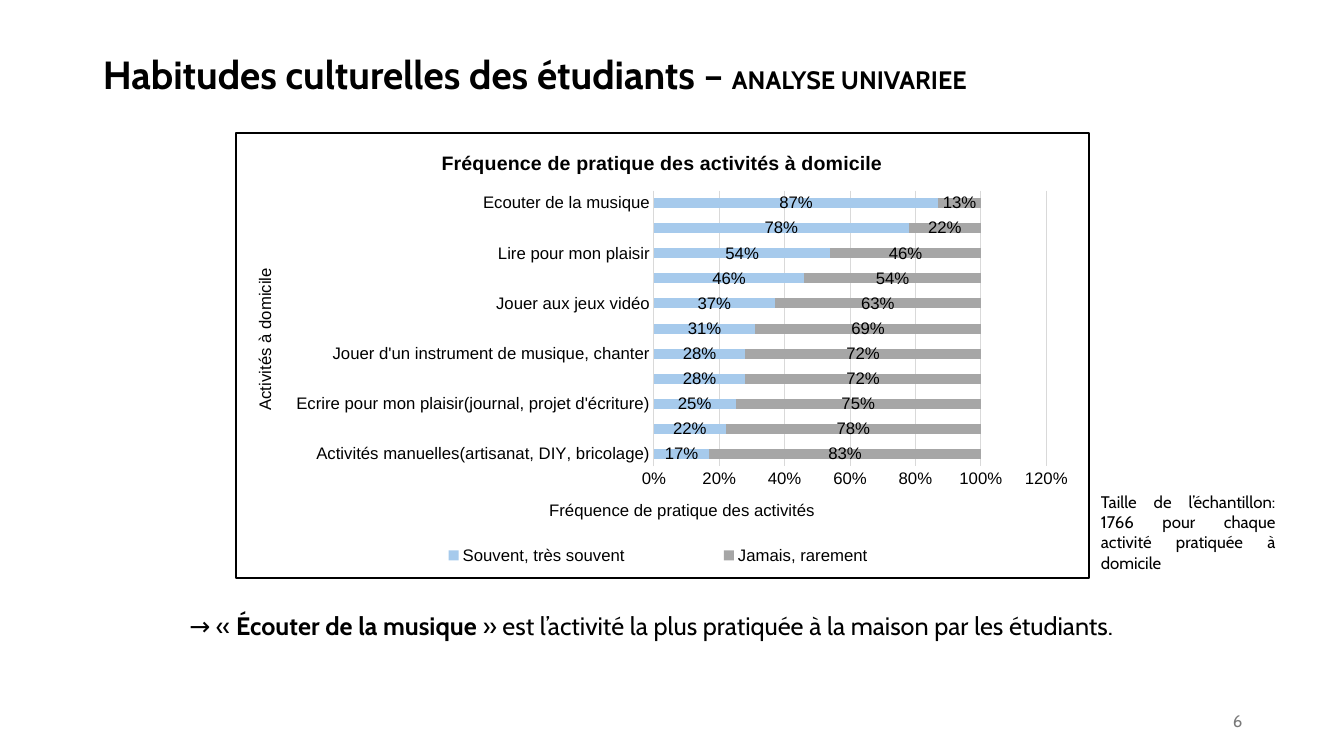
from dataclasses import dataclass

import lxml.etree
import pptx
import pptx.chart.data
import pptx.dml.color
import pptx.enum.chart
import pptx.enum.text
import pptx.oxml
import pptx.oxml.ns
import pptx.util

Inches = pptx.util.Inches
Pt = pptx.util.Pt
Align = pptx.enum.text.PP_ALIGN
Anchor = pptx.enum.text.MSO_ANCHOR
qn = pptx.oxml.ns.qn
BLACK = "000000"
GRID_GREY = "D9D9D9"


@dataclass
class Span:
    text: str
    size: float
    bold: bool = False
    colour: str = BLACK


@dataclass
class Note:
    left: float
    top: float
    width: float
    height: float
    align: Align
    anchor: Anchor
    spans: list[Span]


@dataclass
class Answer:
    name: str
    colour: str
    values: list[float]


def rgb(value: str) -> pptx.dml.color.RGBColor:
    return pptx.dml.color.RGBColor.from_string(value)


def style_font(font, size: float, bold: bool = False, colour: str = BLACK, name: str = "Arial") -> None:
    font.name = name
    font.size = Pt(size)
    font.bold = bold
    font.color.rgb = rgb(colour)


def place(shape, left: float, top: float, width: float, height: float) -> None:
    shape.left, shape.top = Inches(left), Inches(top)
    shape.width, shape.height = Inches(width), Inches(height)


def write_spans(paragraph, spans: list[Span]) -> None:
    for span in spans:
        run = paragraph.add_run()
        run.text = span.text
        style_font(run.font, span.size, span.bold, span.colour, "Cabin")


def add_note(page, note: Note) -> None:
    box = page.shapes.add_textbox(
        Inches(note.left), Inches(note.top), Inches(note.width), Inches(note.height))
    box.text_frame.word_wrap = True
    box.text_frame.vertical_anchor = note.anchor
    paragraph = box.text_frame.paragraphs[0]
    paragraph.alignment = note.align
    write_spans(paragraph, note.spans)


def set_heading(owner, text: str, size: float, bold: bool) -> None:
    owner.has_title = True
    heading = getattr(owner, "chart_title", None) or owner.axis_title
    paragraph = heading.text_frame.paragraphs[0]
    paragraph.text = text
    style_font(paragraph.runs[0].font, size, bold)


def style_axis(axis, heading: str) -> None:
    set_heading(axis, heading, 12, False)
    axis.major_tick_mark = pptx.enum.chart.XL_TICK_MARK.NONE
    axis.minor_tick_mark = pptx.enum.chart.XL_TICK_MARK.NONE
    style_font(axis.tick_labels.font, 12)


def set_line(line, colour: str, width: float) -> None:
    line.color.rgb = rgb(colour)
    line.width = Pt(width)


def frame_chart(chart, colour: str, width: float) -> None:
    border = pptx.oxml.parse_xml(
        f'<c:spPr {pptx.oxml.ns.nsdecls("c", "a")}>'
        '<a:solidFill><a:srgbClr val="FFFFFF"/></a:solidFill>'
        f'<a:ln w="{Pt(width)}"><a:solidFill><a:srgbClr val="{colour}"/></a:solidFill></a:ln></c:spPr>')
    chart.element.find(qn("c:chart")).addnext(border)


def place_part(part, position: int, modes: dict[str, str], x: float, y: float, w: float, h: float) -> None:
    for old in part.findall(qn("c:layout")):
        part.remove(old)
    layout = lxml.etree.Element(qn("c:layout"))
    manual = lxml.etree.SubElement(layout, qn("c:manualLayout"))
    settings = dict(modes, xMode="edge", yMode="edge", x=x, y=y, w=w, h=h)
    for name, value in settings.items():
        lxml.etree.SubElement(manual, qn(f"c:{name}")).set("val", str(value))
    part.insert(position, layout)


def add_activity_chart(page, activities: list[str], answers: list[Answer]) -> None:
    data = pptx.chart.data.CategoryChartData(number_format="0%")
    data.categories = activities
    for answer in answers:
        data.add_series(answer.name, answer.values)
    chart = page.shapes.add_chart(
        pptx.enum.chart.XL_CHART_TYPE.BAR_STACKED,
        Inches(2.33), Inches(1.31), Inches(8.48), Inches(4.43), data).chart
    style_font(chart.font, 12)
    set_heading(chart, "Fréquence de pratique des activités à domicile", 14, True)

    style_axis(chart.category_axis, "Activités à domicile")
    set_line(chart.category_axis.format.line, GRID_GREY, 0.75)
    value_axis = chart.value_axis
    style_axis(value_axis, "Fréquence de pratique des activités")
    value_axis.format.line.fill.background()
    value_axis.minimum_scale, value_axis.maximum_scale, value_axis.major_unit = 0, 1.2, 0.2
    value_axis.tick_labels.number_format = "0%"
    value_axis.tick_labels.number_format_is_linked = False
    set_line(value_axis.major_gridlines.format.line, GRID_GREY, 0.75)

    chart.has_legend = True
    chart.legend.position = pptx.enum.chart.XL_LEGEND_POSITION.BOTTOM
    chart.legend.include_in_layout = False
    style_font(chart.legend.font, 12)

    plot = chart.plots[0]
    plot.vary_by_categories = False
    plot.gap_width, plot.overlap = 150, 100
    for series, answer in zip(plot.series, answers):
        series.format.fill.solid()
        series.format.fill.fore_color.rgb = rgb(answer.colour)
        labels = series.data_labels
        labels.show_value = True
        labels.number_format = "0%"
        labels.number_format_is_linked = False
        labels.position = pptx.enum.chart.XL_LABEL_POSITION.CENTER
        style_font(labels.font, 12)
    frame_chart(chart, BLACK, 1.25)
    place_part(chart.element.find(".//" + qn("c:plotArea")), 0,
               {"layoutTarget": "inner"}, 0.49, 0.13, 0.46, 0.62)
    place_part(chart.element.find(".//" + qn("c:legend")), 1, {}, 0.14, 0.91, 0.71, 0.08)


ACTIVITIES = [
    "Activités manuelles(artisanat, DIY, bricolage)",
    "Arts plastiques(dessin, peinture, photo, sculpture)",
    "Ecrire pour mon plaisir(journal, projet d'écriture)",
    "Créer des contenus numériques(codage, blog, story, réseaux sociaux…)",
    "Jouer d'un instrument de musique, chanter",
    "Ecouter des podcasts",
    "Jouer aux jeux vidéo",
    "Cuisiner pour mon plaisir",
    "Lire pour mon plaisir",
    "Regarder un film, une série",
    "Ecouter de la musique",
]
OFTEN = [0.17, 0.22, 0.25, 0.28, 0.28, 0.31, 0.37, 0.46, 0.54, 0.78, 0.87]
ANSWERS = [
    Answer("Souvent, très souvent", "A6CAEC", OFTEN),
    Answer("Jamais, rarement", "A6A6A6", [round(1 - share, 2) for share in OFTEN]),
]
NOTES = [
    Note(9.42, 6.95, 3, 0.4, Align.RIGHT, Anchor.MIDDLE, [Span("6", 12, colour="797979")]),
    Note(10.82, 4.83, 1.93, 0.91, Align.JUSTIFY, Anchor.TOP, [
        Span("Taille de l’échantillon: 1766 pour chaque activité pratiquée à domicile", 12)]),
    Note(1.78, 6.01, 10.76, 0.4, Align.LEFT, Anchor.TOP, [
        Span("→ « ", 18),
        Span("Écouter de la musique ", 18, True),
        Span("» est l’activité la plus pratiquée à la maison par les étudiants.", 18)]),
]


def main() -> None:
    deck = pptx.Presentation()
    deck.slide_width, deck.slide_height = Inches(13.33), Inches(7.5)
    page = deck.slides.add_slide(deck.slide_layouts[5])
    title = page.shapes.title
    place(title, 0.92, 0.4, 11.5, 1.45)
    title.text_frame.auto_size = pptx.enum.text.MSO_AUTO_SIZE.NONE
    title.text_frame.vertical_anchor = Anchor.MIDDLE
    paragraph = title.text_frame.paragraphs[0]
    paragraph.alignment = Align.LEFT
    paragraph.line_spacing = 0.9
    write_spans(paragraph, [
        Span("Habitudes culturelles des étudiants – ", 28, True),
        Span("ANALYSE UNIVARIEE", 18, True)])
    paragraph.add_line_break()
    add_activity_chart(page, ACTIVITIES, ANSWERS)
    for note in NOTES:
        add_note(page, note)
    deck.save("out.pptx")


if __name__ == "__main__":
    main()
